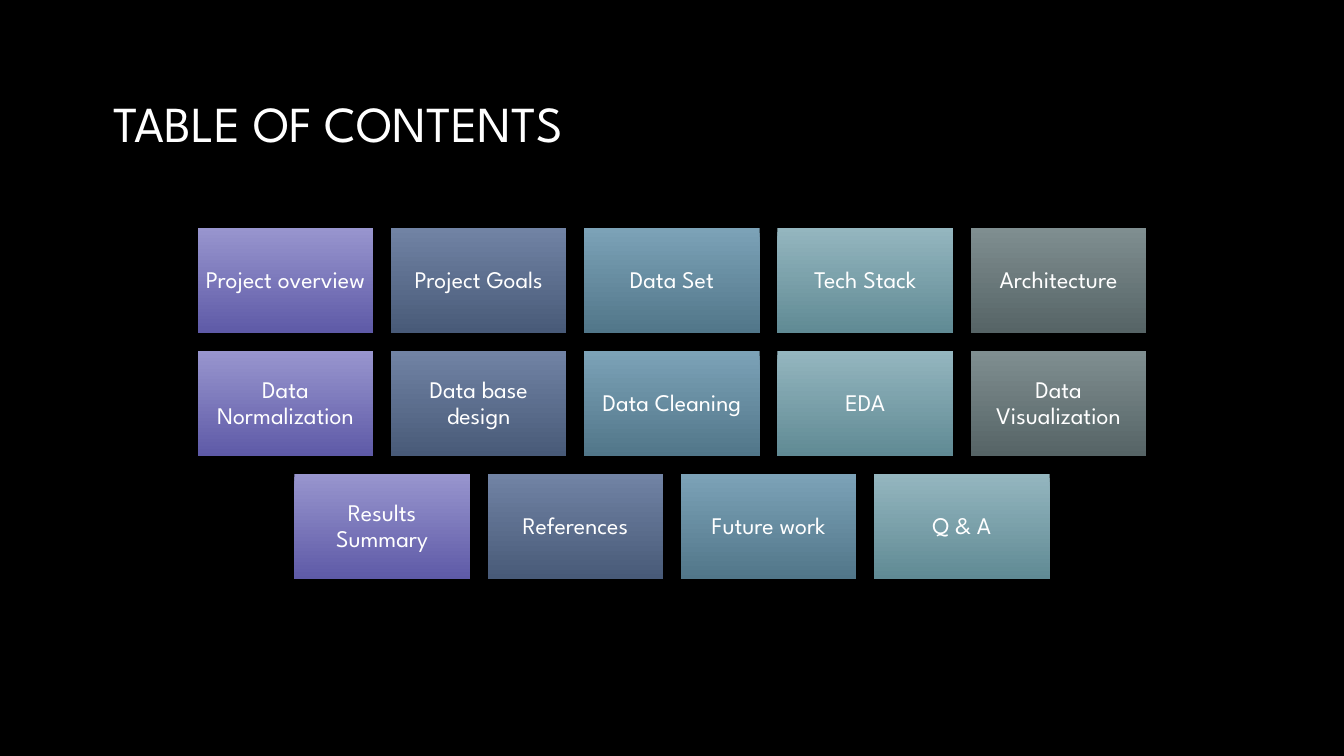
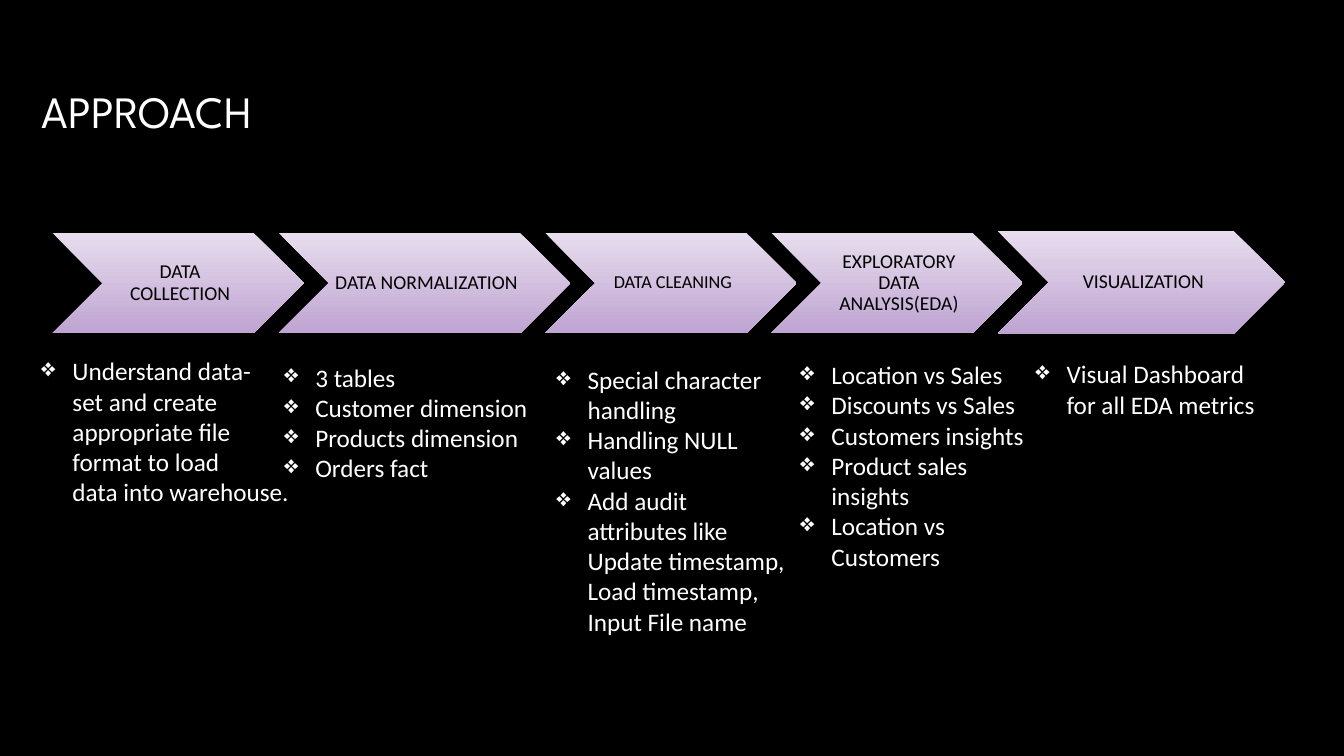
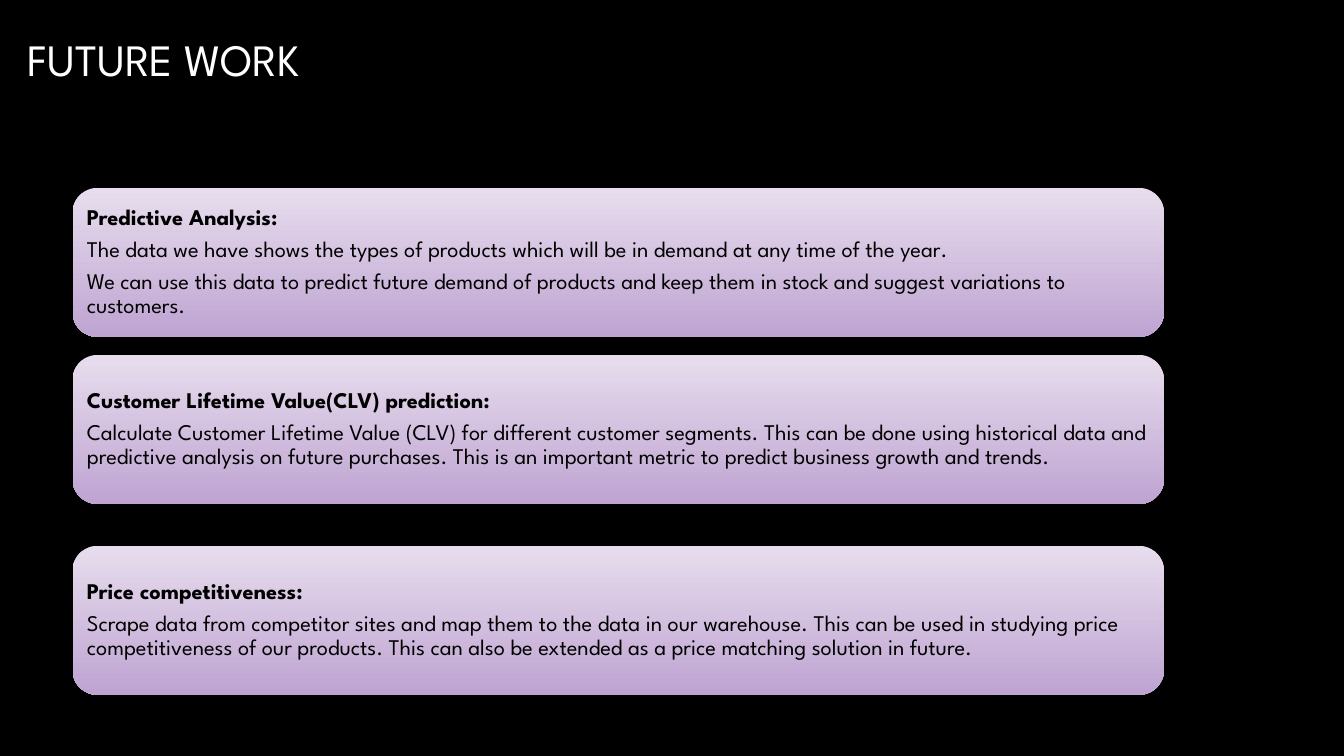
import pptx
import pptx.util
import pptx.dml.color
import pptx.enum.text
import pptx.enum.shapes
import lxml.etree

Pt = pptx.util.Pt
Align = pptx.enum.text.PP_ALIGN
Anchor = pptx.enum.text.MSO_ANCHOR
Kind = pptx.enum.shapes.MSO_SHAPE
WIDE, HIGH = pptx.util.Inches(13.33), pptx.util.Inches(7.5)

HEX = {"back": "000000", "light": "FFFFFF", "dark": "000000"}
LILAC = ("E7DDED", "BFA4D2")
TINTS = [("9895CE", "5E5AA7"), ("7183A4", "485A78"), ("7CA2B7", "517689"),
         ("94B6BF", "608A94"), ("7F8E90", "566466")]
HEAD, BODY = "League Spartan", "Calibri"

TOPICS = [
    ["Project overview", "Project Goals", "Data Set", "Tech Stack", "Architecture"],
    ["Data Normalization", "Data base design", "Data Cleaning", "EDA",
     "Data Visualization"],
    ["Results Summary", "References", "Future work", "Q & A"],
]
# label, width, top, height, text size
STEPS = [
    ("DATA COLLECTION", 18.7, 30.8, 13.3, 14),
    ("DATA NORMALIZATION", 21.7, 30.8, 13.3, 14),
    ("DATA CLEANING", 18.7, 30.8, 13.3, 13),
    ("EXPLORATORY DATA ANALYSIS(EDA)", 18.7, 30.8, 13.3, 14),
    ("VISUALIZATION", 21.4, 30.55, 13.6, 14),
]
# left, top, items
NOTES = [
    (2.33, 46.4, ["Understand data-\vset and create\vappropriate file\v"
                  "format to load\vdata into warehouse."]),
    (20.4, 47.2, ["3 tables", "Customer dimension", "Products dimension",
                  "Orders fact"]),
    (40.66, 47.5, ["Special character\vhandling", "Handling NULL\vvalues",
                   "Add audit\vattributes like\vUpdate timestamp,\v"
                   "Load timestamp,\vInput File name"]),
    (58.8, 46.9, ["Location vs Sales", "Discounts vs Sales", "Customers insights",
                  "Product sales\vinsights", "Location vs\vCustomers"]),
    (76.3, 46.8, ["Visual Dashboard\vfor all EDA metrics"]),
]
# top, heading and sentences
PLANS = [
    (24.85, ["Predictive Analysis:",
             "The data we have shows the types of products which will be in demand "
             "at any time of the year.",
             "We can use this data to predict future demand of products and keep "
             "them in stock and suggest variations to customers."]),
    (46.95, ["Customer Lifetime Value(CLV) prediction:",
             "Calculate Customer Lifetime Value (CLV) for different customer "
             "segments. This can be done using historical data and predictive "
             "analysis on future purchases. This is an important metric to predict "
             "business growth and trends."]),
    (72.2, ["Price competitiveness:",
            "Scrape data from competitor sites and map them to the data in our "
            "warehouse. This can be used in studying price competitiveness of our "
            "products. This can also be extended as a price matching solution in "
            "future."]),
]


def rgb(code):
    return pptx.dml.color.RGBColor.from_string(code)


def place(x, y, w, h):
    """Turn percentages of the slide into left, top, width, height."""
    return [int(share * size / 100)
            for share, size in zip((x, y, w, h), (WIDE, HIGH, WIDE, HIGH))]


def style(target, values):
    for name, value in values.items():
        setattr(target, name, value)


def write(para, text, size, face, ink, bold=False):
    para.text = text
    style(para.font, {"size": Pt(size), "name": face, "bold": bold})
    para.font.color.rgb = rgb(HEX[ink])


def start(deck, text, size, area, anchor):
    slide = deck.slides.add_slide(deck.slide_layouts.get_by_name("Title Only"))
    title = slide.shapes.title
    style(title, dict(zip(("left", "top", "width", "height"), place(*area))))
    frame = title.text_frame
    style(frame, {"word_wrap": True, "vertical_anchor": anchor,
                  "auto_size": pptx.enum.text.MSO_AUTO_SIZE.NONE})
    para = frame.paragraphs[0]
    write(para, text, size, HEAD, "light")
    para.alignment = Align.LEFT
    return slide


def block(slide, kind, area, tint, insets):
    """Add a shape with a vertical gradient and return its text frame."""
    shape = slide.shapes.add_shape(kind, *place(*area))
    shape.shadow.inherit = False
    shape.line.fill.background()
    shape.fill.gradient()
    shape.fill.gradient_angle = 270
    for stop, code in zip(shape.fill.gradient_stops, tint):
        stop.color.rgb = rgb(code)
    frame = shape.text_frame
    sides = ("margin_left", "margin_top", "margin_right", "margin_bottom")
    style(frame, {side: pptx.util.Inches(gap) for side, gap in zip(sides, insets)})
    style(frame, {"word_wrap": True, "vertical_anchor": Anchor.MIDDLE})
    return frame


def label(frame, text, size, face, ink):
    para = frame.paragraphs[0]
    write(para, text, size, face, ink)
    style(para, {"alignment": Align.CENTER, "line_spacing": 0.9})


def paras(frame, items):
    """Yield a paragraph of the frame for each item."""
    for row, item in enumerate(items):
        yield row, frame.add_paragraph() if row else frame.paragraphs[0], item


def bullet(para):
    props = para._p.get_or_add_pPr()
    indent = pptx.util.Inches(0.31)
    props.set("marL", str(indent))
    props.set("indent", str(-indent))
    mark = lxml.etree.SubElement(props, pptx.oxml.ns.qn("a:buChar"))
    mark.set("char", "❖")


def notes(slide, x, y, items):
    lines = sum(item.count("\v") + 1 for item in items)
    box = slide.shapes.add_textbox(*place(x, y, 21, 4.07 * lines + 1.33))
    box.text_frame.word_wrap = True
    for _, para, item in paras(box.text_frame, items):
        bullet(para)
        write(para, item, 18, BODY, "light")


def card(slide, y, items):
    frame = block(slide, Kind.ROUNDED_RECTANGLE, (5.4, y, 81.2, 19.7), LILAC,
                  [0.07] * 4)
    for row, para, item in paras(frame, items):
        write(para, item, 16, HEAD, "dark", bold=row == 0)
        style(para, {"alignment": Align.LEFT, "line_spacing": 0.9})
        if row:
            para.space_before = Pt(5.6)


def contents(deck):
    slide = start(deck, "TABLE OF CONTENTS", 36, (7.73, 11.47, 81.4, 15.47),
                  Anchor.TOP)
    wide, high, step, drop = 13.06, 13.93, 14.38, 16.27
    for row, names in enumerate(TOPICS):
        left = 50 - ((len(names) - 1) * step + wide) / 2
        for col, name in enumerate(names):
            area = (left + col * step, 30.16 + row * drop, wide, high)
            frame = block(slide, Kind.RECTANGLE, area, TINTS[col], [0.06] * 4)
            label(frame, name, 17, HEAD, "light")


def approach(deck):
    slide = start(deck, "APPROACH", 32, (2.33, 0.8, 81.2, 27.7), Anchor.MIDDLE)
    left, lap = 3.9, 1.87
    for name, wide, top, high, size in STEPS:
        frame = block(slide, Kind.CHEVRON, (left, top, wide, high), LILAC,
                      (0.06, 0.02, 0.02, 0.02))
        label(frame, name, size, BODY, "dark")
        left += wide - lap
    for x, y, items in NOTES:
        notes(slide, x, y, items)


def future(deck):
    slide = start(deck, "FUTURE WORK", 32, (1.28, 1.87, 89.4, 11.87), Anchor.MIDDLE)
    for y, items in PLANS:
        card(slide, y, items)


def main():
    deck = pptx.Presentation()
    style(deck, {"slide_width": WIDE, "slide_height": HIGH})
    fill = deck.slide_master.background.fill
    fill.solid()
    fill.fore_color.rgb = rgb(HEX["back"])
    contents(deck)
    approach(deck)
    future(deck)
    deck.save("out.pptx")


if __name__ == "__main__":
    main()
